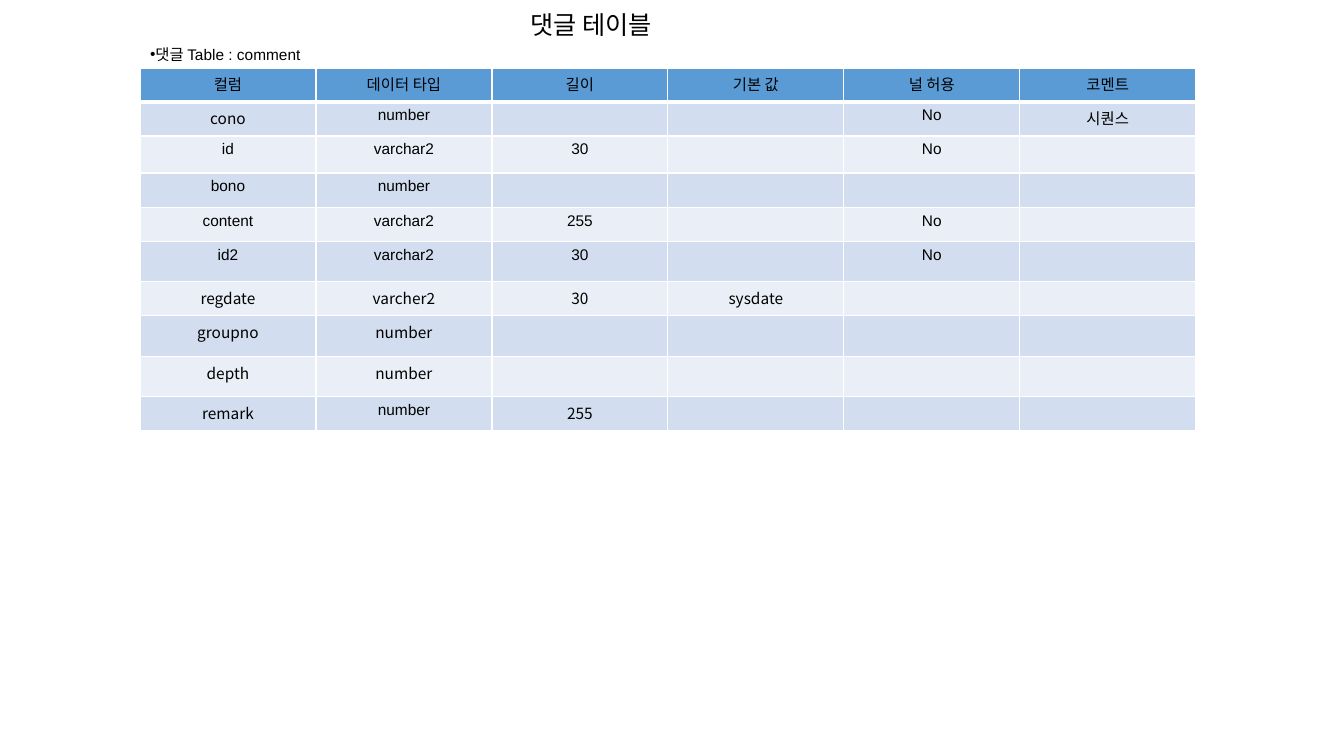
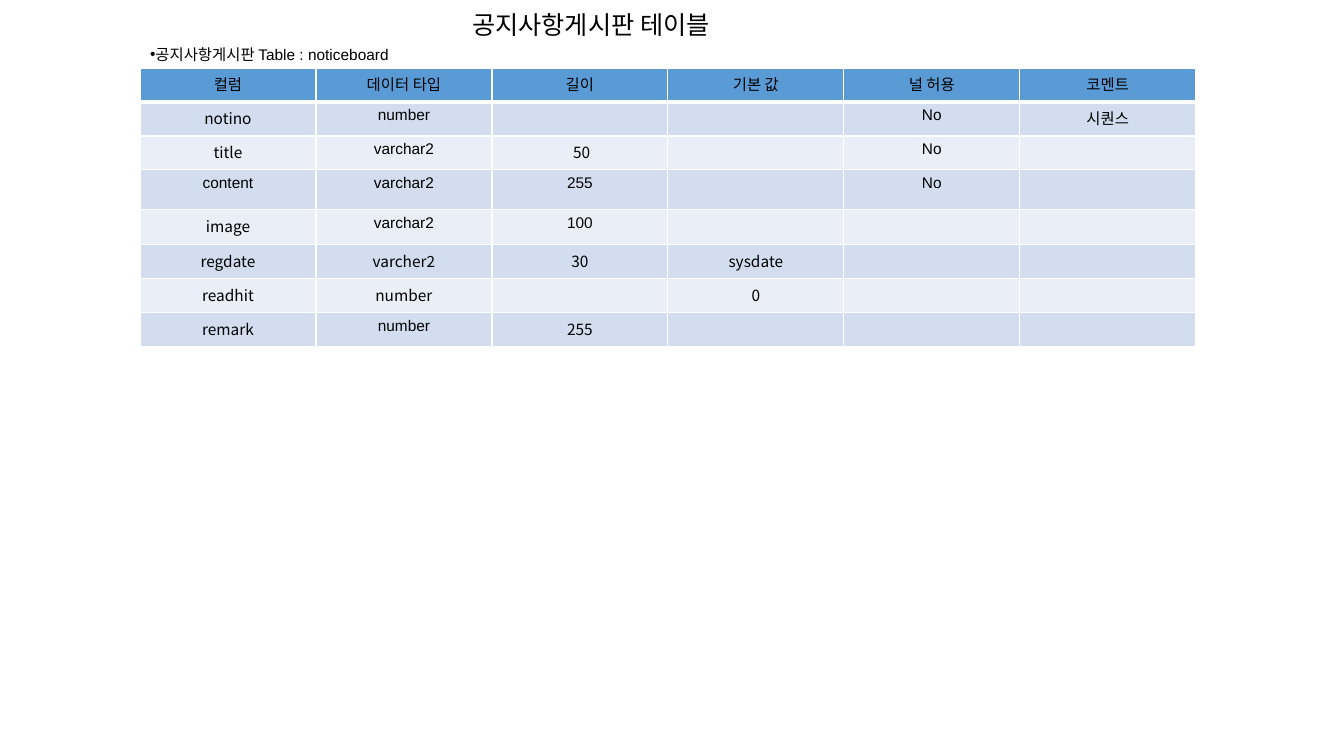
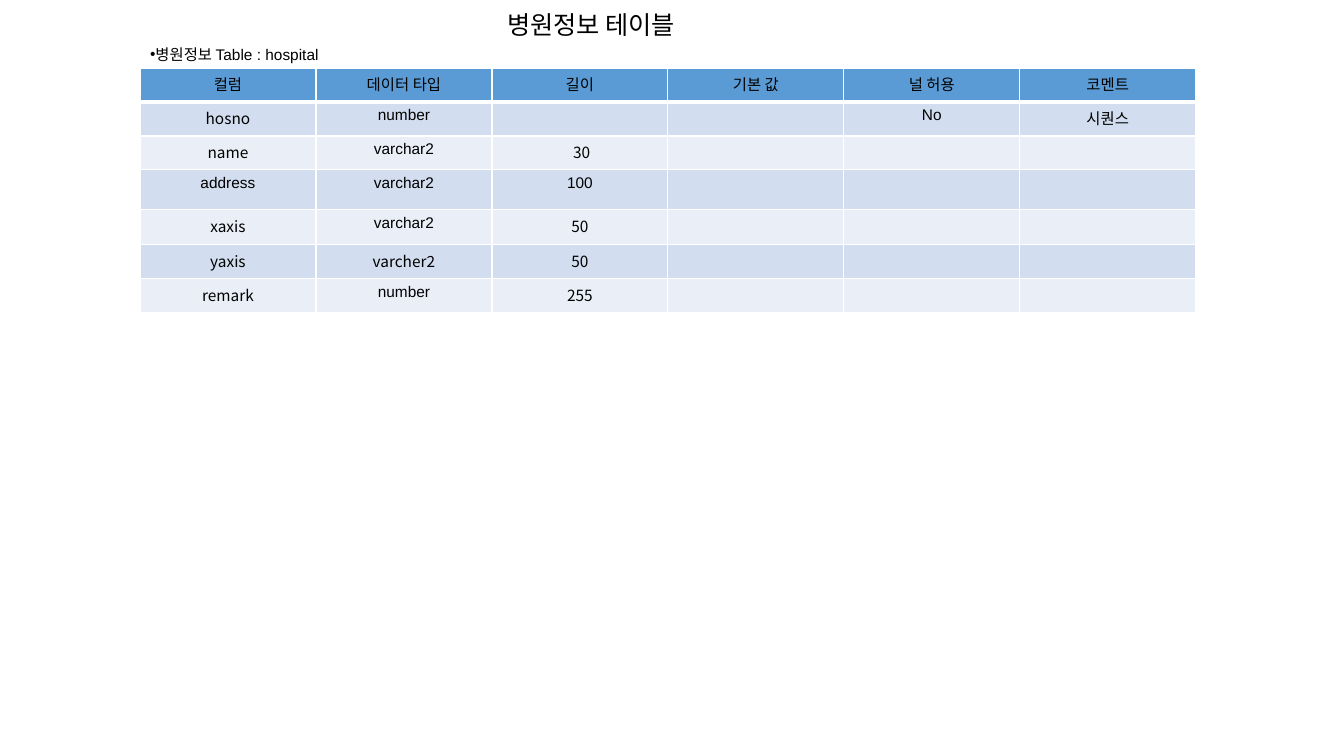
from dataclasses import dataclass

from lxml.etree import SubElement
from pptx import Presentation
from pptx.dml.color import RGBColor
from pptx.enum.text import MSO_ANCHOR, MSO_AUTO_SIZE, PP_ALIGN
from pptx.oxml.ns import qn
from pptx.util import Emu, Pt

EMU_PER_PIXEL = 914400 / 100.8
SLIDE_WIDTH, SLIDE_HEIGHT = 1344, 756

BLACK = RGBColor(0x00, 0x00, 0x00)
WHITE = RGBColor(0xFF, 0xFF, 0xFF)
HEADER_BLUE = RGBColor(0x5B, 0x9B, 0xD5)
BAND_COLOURS = (RGBColor(0xD2, 0xDE, 0xEF), RGBColor(0xEA, 0xEF, 0xF7))

ARIAL = "Arial"
NOTO = "Noto Sans CJK KR"
TITLE_SIZE, TEXT_SIZE = 18, 11
THIN_BORDER, THICK_BORDER = 1, 3

TABLE_LEFT, TABLE_TOP = 140, 68
COLUMN_WIDTH, HEADER_HEIGHT = 176, 34
HEADERS = ("컬럼", "데이터 타입", "길이", "기본 값", "널 허용", "코멘트")
NAME_ONLY, NAME_AND_LENGTH, NAME_TO_DEFAULT = (0,), (0, 2), (0, 1, 2, 3)


@dataclass(frozen=True)
class Box:
    """A rectangle in pixels."""

    left: int
    top: int
    width: int
    height: int


@dataclass(frozen=True)
class Field:
    """One database column; noto_columns are the cells set in Noto Sans."""

    name: str
    data_type: str
    length: str = ""
    default: str = ""
    nullable: str = ""
    comment: str = ""
    noto_columns: tuple[int, ...] = ()
    height: int = 34

    def texts(self) -> tuple[str, ...]:
        """Return the cell texts from left to right."""
        return (self.name, self.data_type, self.length,
                self.default, self.nullable, self.comment)


@dataclass(frozen=True)
class Schema:
    """One slide: a database table and its fields."""

    label: str
    table_name: str
    fields: tuple[Field, ...]


TITLE_BOX = Box(255, 4, 672, 102)
CAPTION_BOX = Box(140, 25, 768, 59)

SCHEMAS = (
    Schema("댓글", "comment", (
        Field("cono", "number", nullable="No", comment="시퀀스", noto_columns=NAME_ONLY),
        Field("id", "varchar2", "30", nullable="No", height=37),
        Field("bono", "number", height=35),
        Field("content", "varchar2", "255", nullable="No"),
        Field("id2", "varchar2", "30", nullable="No", height=40),
        Field("regdate", "varcher2", "30", "sysdate", noto_columns=NAME_TO_DEFAULT),
        Field("groupno", "number", noto_columns=NAME_TO_DEFAULT, height=41),
        Field("depth", "number", noto_columns=NAME_TO_DEFAULT, height=40),
        Field("remark", "number", "255", noto_columns=NAME_AND_LENGTH),
    )),
    Schema("공지사항게시판", "noticeboard", (
        Field("notino", "number", nullable="No", comment="시퀀스", noto_columns=NAME_ONLY),
        Field("title", "varchar2", "\u00a050", nullable="No", noto_columns=NAME_AND_LENGTH),
        Field("content", "varchar2", "255", nullable="No", height=40),
        Field("image", "varchar2", "100", noto_columns=NAME_ONLY, height=35),
        Field("regdate", "varcher2", "30", "sysdate", noto_columns=NAME_TO_DEFAULT),
        Field("readhit", "number", default="0", noto_columns=NAME_TO_DEFAULT),
        Field("remark", "number", "255", noto_columns=NAME_AND_LENGTH),
    )),
    Schema("병원정보", "hospital", (
        Field("hosno", "number", nullable="No", comment="시퀀스", noto_columns=NAME_ONLY),
        Field("name", "varchar2", "\u00a030", noto_columns=NAME_AND_LENGTH),
        Field("address", "varchar2", "100", height=40),
        Field("xaxis", "varchar2", "50", noto_columns=NAME_AND_LENGTH, height=35),
        Field("yaxis", "varcher2", "50", noto_columns=NAME_TO_DEFAULT),
        Field("remark", "number", "255", noto_columns=NAME_AND_LENGTH),
    )),
)


def pixels(length: int) -> Emu:
    """Convert pixels to EMU."""
    return Emu(round(length * EMU_PER_PIXEL))


def write_text(paragraph, text: str, size: int, alignment: PP_ALIGN,
               font_name: str = ARIAL) -> None:
    """Fill a paragraph and format its runs, or size it when empty."""
    paragraph.text = text
    paragraph.alignment = alignment
    for run in paragraph.runs:
        run.font.size = Pt(size)
        run.font.name = font_name
        run.font.color.rgb = BLACK
        SubElement(run.font._element, qn("a:ea"), typeface=NOTO)
    if not text:
        SubElement(paragraph._p, qn("a:endParaRPr"), sz=str(size * 100))


def place_placeholder(shape, box: Box, anchor: MSO_ANCHOR, vertical_inset: int) -> None:
    """Move a placeholder and set how its text sits inside."""
    shape.left, shape.top = pixels(box.left), pixels(box.top)
    shape.width, shape.height = pixels(box.width), pixels(box.height)
    frame = shape.text_frame
    frame.auto_size = MSO_AUTO_SIZE.NONE
    frame.word_wrap = True
    frame.vertical_anchor = anchor
    frame.margin_left = frame.margin_right = pixels(10)
    frame.margin_top = frame.margin_bottom = pixels(vertical_inset)


def add_title(slide, text: str) -> None:
    """Write the centred slide title."""
    title = slide.shapes.title
    place_placeholder(title, TITLE_BOX, MSO_ANCHOR.TOP, 5)
    write_text(title.text_frame.paragraphs[0], text, TITLE_SIZE, PP_ALIGN.CENTER)


def add_caption(slide, text: str) -> None:
    """Write the bulleted line above the table."""
    caption = slide.placeholders[1]
    place_placeholder(caption, CAPTION_BOX, MSO_ANCHOR.MIDDLE, 0)
    paragraph = caption.text_frame.paragraphs[0]
    write_text(paragraph, text, TEXT_SIZE, PP_ALIGN.LEFT)
    paragraph.space_before = Pt(0)
    properties = paragraph._p.get_or_add_pPr()
    properties.set("marL", "0")
    properties.set("indent", "0")
    SubElement(properties, qn("a:buFont"), typeface=ARIAL)
    SubElement(properties, qn("a:buChar"), char="•")


def set_borders(cell, top: int, bottom: int) -> None:
    """Draw white borders; side borders are thin."""
    properties = cell._tc.get_or_add_tcPr()
    widths = {"lnL": THIN_BORDER, "lnR": THIN_BORDER, "lnT": top, "lnB": bottom}
    for tag, width in widths.items():
        line = SubElement(properties, qn(f"a:{tag}"), w=str(Pt(width)))
        fill = SubElement(line, qn("a:solidFill"))
        SubElement(fill, qn("a:srgbClr"), val=str(WHITE))


def fill_row(table, row_index: int, texts: tuple[str, ...], height: int,
             colour: RGBColor, noto_columns: tuple[int, ...] = ()) -> None:
    """Write and style one table row."""
    table.rows[row_index].height = pixels(height)
    top = THICK_BORDER if row_index == 1 else THIN_BORDER
    bottom = THICK_BORDER if row_index == 0 else THIN_BORDER
    for column_index, text in enumerate(texts):
        cell = table.cell(row_index, column_index)
        font_name = NOTO if column_index in noto_columns else ARIAL
        write_text(cell.text_frame.paragraphs[0], text, TEXT_SIZE,
                   PP_ALIGN.CENTER, font_name)
        set_borders(cell, top, bottom)
        cell.fill.solid()
        cell.fill.fore_color.rgb = colour


def add_field_table(slide, fields: tuple[Field, ...]) -> None:
    """Draw the header row and one banded row per field."""
    height = HEADER_HEIGHT + sum(field.height for field in fields)
    table = slide.shapes.add_table(
        len(fields) + 1, len(HEADERS), pixels(TABLE_LEFT), pixels(TABLE_TOP),
        pixels(COLUMN_WIDTH * len(HEADERS)), pixels(height)).table
    table.first_row = table.horz_banding = False
    for column in table.columns:
        column.width = pixels(COLUMN_WIDTH)
    fill_row(table, 0, HEADERS, HEADER_HEIGHT, HEADER_BLUE)
    for index, field in enumerate(fields):
        fill_row(table, index + 1, field.texts(), field.height,
                 BAND_COLOURS[index % 2], field.noto_columns)


def add_schema_slide(presentation, schema: Schema) -> None:
    """Add the slide that describes one database table."""
    slide = presentation.slides.add_slide(presentation.slide_layouts[1])
    add_caption(slide, f"{schema.label}\u00a0Table : {schema.table_name}")
    add_title(slide, f"{schema.label} 테이블")
    add_field_table(slide, schema.fields)


def main() -> None:
    """Build and save the presentation."""
    presentation = Presentation()
    presentation.slide_width = pixels(SLIDE_WIDTH)
    presentation.slide_height = pixels(SLIDE_HEIGHT)
    for schema in SCHEMAS:
        add_schema_slide(presentation, schema)
    presentation.save("out.pptx")


main()
